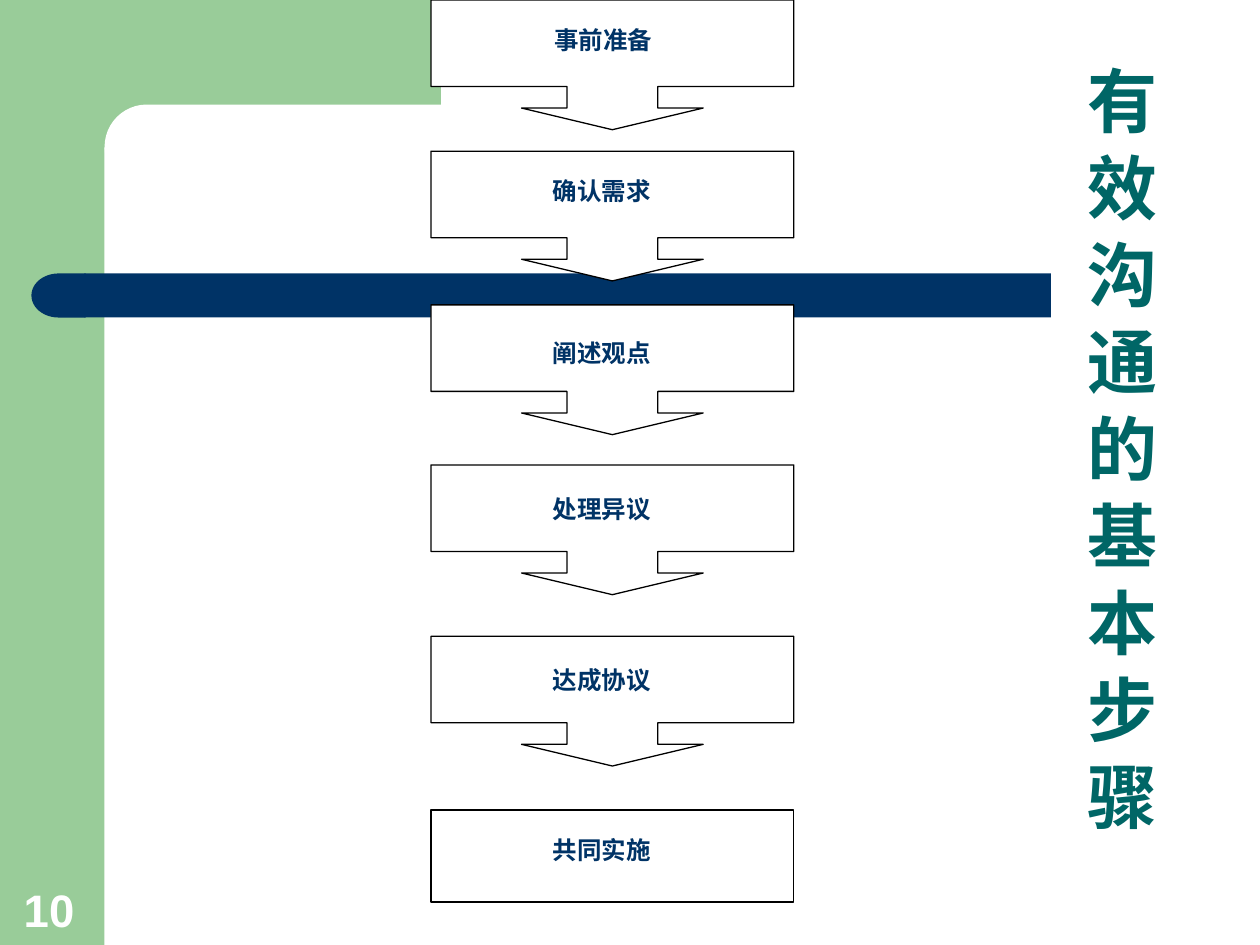
from lxml import etree
from pptx import Presentation
from pptx.dml.color import RGBColor
from pptx.enum import shapes, text
from pptx.oxml import ns
from pptx.util import Inches, Pt

COLORS = {"green": "99CC99", "navy": "003366", "teal": "006666",
          "white": "FFFFFF", "black": "000000"}
CJK_FONT = "Noto Sans CJK SC"
SHAPE = shapes.MSO_SHAPE
ALIGN = text.PP_ALIGN

# Step name, top of its box, drop of its label below that top
STEPS = [("事前准备", 0, 0.15), ("确认需求", 1.2, 0.15), ("阐述观点", 2.42, 0.21),
         ("处理异议", 3.69, 0.18), ("达成协议", 5.05, 0.18), ("共同实施", 6.43, 0.15)]


def color(name):
    return RGBColor.from_string(COLORS[name])


def add_block(slide, kind, box, fill, line=None, adjustments=()):
    block = slide.shapes.add_shape(kind, *map(Inches, box))
    block.shadow.inherit = False
    block.fill.solid()
    block.fill.fore_color.rgb = color(fill)
    if line:
        block.line.color.rgb = color(line)
        block.line.width = Pt(0.75)
    else:
        block.line.fill.background()
    for index, value in enumerate(adjustments):
        block.adjustments[index] = value
    return block


def write(frame, words, size, ink, font, align, margins=(0.1, 0.05)):
    frame.margin_left = frame.margin_right = Inches(margins[0])
    frame.margin_top = frame.margin_bottom = Inches(margins[1])
    frame.auto_size = text.MSO_AUTO_SIZE.NONE
    paragraph = frame.paragraphs[0]
    paragraph.alignment = align
    run = paragraph.add_run()
    run.text = words
    run.font.size = Pt(size)
    run.font.bold = True
    run.font.name = font
    run.font.color.rgb = color(ink)
    # East Asian typeface follows the Latin one
    east_asian = etree.Element(ns.qn("a:ea"), typeface=CJK_FONT)
    run.font._element.find(ns.qn("a:latin")).addnext(east_asian)
    return paragraph


def add_label(slide, box, words, size, ink, font, align, anchor=text.MSO_ANCHOR.TOP):
    frame = slide.shapes.add_textbox(*map(Inches, box)).text_frame
    frame.word_wrap = True
    frame.vertical_anchor = anchor
    write(frame, words, size, ink, font, align)


def add_backdrop(slide, width, height):
    # Green frame with a rounded inner corner
    side = 0.83
    add_block(slide, SHAPE.RECTANGLE, (0, 0, side, height), "green")
    add_block(slide, SHAPE.RECTANGLE, (0.75, 0, 2.75, 1.17), "green")
    add_block(slide, SHAPE.ROUNDED_RECTANGLE, (side, side, 5.58, 0.67), "white",
              adjustments=[0.5])
    # Navy bar with a rounded left end
    bar_top, bar_height = 2.17, 0.35
    add_block(slide, SHAPE.RECTANGLE, (0.67, bar_top, width - 2.33, bar_height), "navy")
    bar_end = add_block(slide, SHAPE.FLOWCHART_DELAY, (0.25, bar_top, 0.43, bar_height), "navy")
    bar_end._element.spPr.find(ns.qn("a:xfrm")).set("flipH", "1")


def add_title(slide, box):
    title = slide.shapes.title
    title.left, title.top, title.width, title.height = map(Inches, box)
    frame = title.text_frame
    frame.word_wrap = True
    frame.vertical_anchor = text.MSO_ANCHOR.BOTTOM
    frame._txBody.bodyPr.set("vert", "eaVert")
    paragraph = write(frame, "有 效 沟 通 的 基 本 步 骤", 40, "teal", CJK_FONT,
                      ALIGN.LEFT, margins=(0.05, 0.1))
    paragraph.line_spacing = 0.9


def add_steps(slide, left, top, width):
    last = len(STEPS) - 1
    for index, (name, step_top, label_drop) in enumerate(STEPS):
        y = top + step_top
        if index < last:
            add_block(slide, SHAPE.DOWN_ARROW_CALLOUT, (left, y, width, 1.03), "white",
                      "black", [0.7, 0.7, 0.167, 0.667])
        else:
            add_block(slide, SHAPE.RECTANGLE, (left, y, width, 0.73), "white", "black")
        # The first label is wide and centred, the others fit their text
        inset, label_width, align = ((0.37, 2, ALIGN.CENTER) if index == 0
                                     else (0.87, 1, ALIGN.JUSTIFY))
        add_label(slide, (left + inset, y + label_drop, label_width, 0.47), name,
                  14, "navy", "Times New Roman", align)


def build():
    deck = Presentation()
    width, height = 10, 7.5
    deck.slide_width, deck.slide_height = Inches(width), Inches(height)
    slide = deck.slides.add_slide(deck.slide_layouts[5])
    add_backdrop(slide, width, height)
    add_title(slide, (8.5, 0.42, 1.17, 6.33))
    add_steps(slide, 3.42, 0, 2.88)
    # Page number
    add_label(slide, (0.09, 6.94, 0.64, 0.54), "10", 26, "white", "Arial",
              ALIGN.LEFT, text.MSO_ANCHOR.BOTTOM)
    deck.save("out.pptx")


build()
